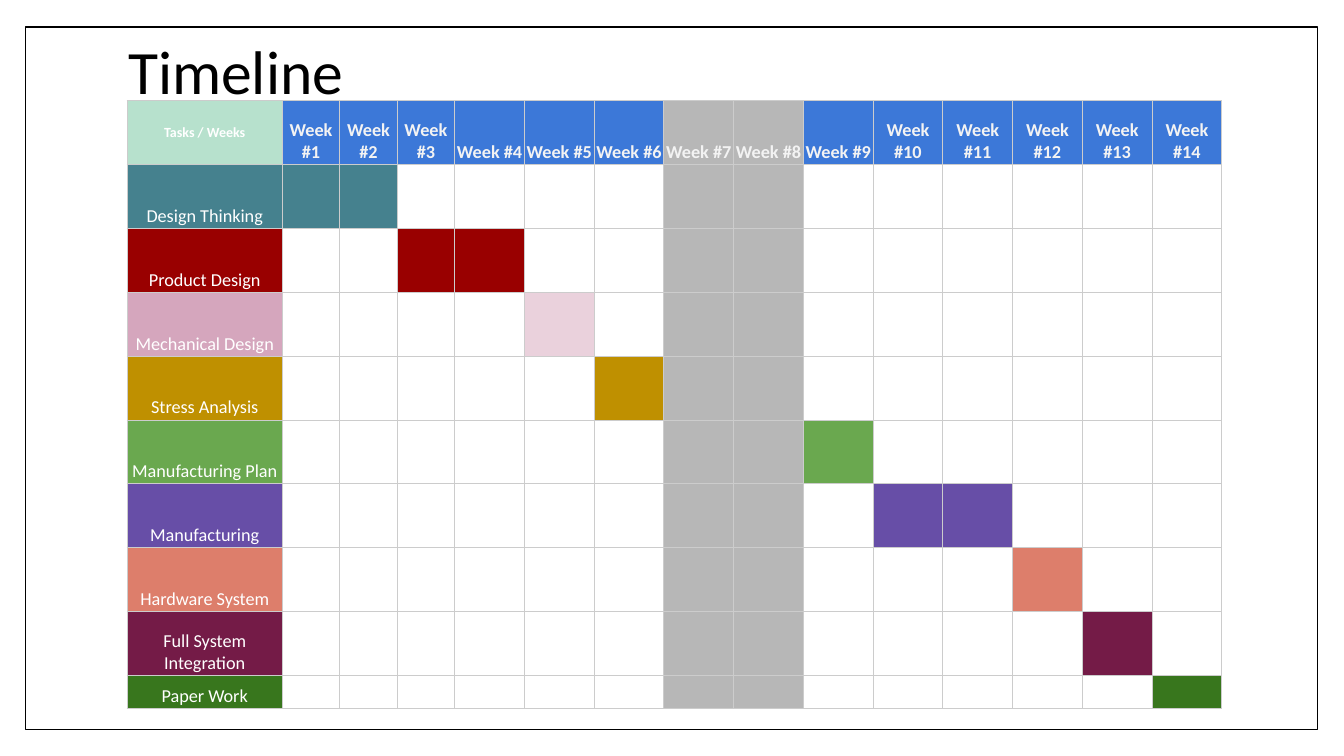
from lxml.etree import SubElement
from pptx import Presentation
from pptx.dml.color import RGBColor
from pptx.enum.shapes import MSO_SHAPE
from pptx.enum.text import MSO_ANCHOR, PP_ALIGN
from pptx.oxml.ns import qn
from pptx.util import Inches, Pt

WHITE, BLACK, BLUE, GREY = "FFFFFF", "000000", "3C78D8", "B7B7B7"
MINT, PALE, BORDER = "B7E1CD", "F3F3F3", "CCCCCC"
WEEK_COUNT = 14
BREAK_WEEKS = (7, 8)
NARROW_WEEKS = 3
# Task, label colour, bar colour, active weeks
TASKS = [
    ("Design Thinking", "45818E", "45818E", (1, 2)),
    ("Product Design", "990000", "990000", (3, 4)),
    ("Mechanical Design", "D5A6BD", "EAD1DC", (5,)),
    ("Stress Analysis", "BF9000", "BF9000", (6,)),
    ("Manufacturing Plan", "6AA84F", "6AA84F", (9,)),
    ("Manufacturing", "674EA7", "674EA7", (10, 11)),
    ("Hardware System", "DD7E6B", "DD7E6B", (12,)),
    ("Full System Integration", "741B47", "741B47", (13,)),
    ("Paper Work", "38761D", "38761D", (14,)),
]


def color(value):
    return RGBColor.from_string(value)


def set_font(paragraph, size, font_color, bold=False):
    font = paragraph.font
    font.name, font.size, font.bold = "Calibri", Pt(size), bold
    font.color.rgb = color(font_color)


def add_frame(slide, left, top, width, height):
    """Draw the page border behind everything else."""
    frame = slide.shapes.add_shape(
        MSO_SHAPE.RECTANGLE, Inches(left), Inches(top), Inches(width), Inches(height))
    frame.shadow.inherit = False
    frame.fill.solid()
    frame.fill.fore_color.rgb = color(WHITE)
    frame.line.color.rgb = color(BLACK)
    frame.line.width = Pt(1)
    slide.shapes.title.element.addprevious(frame.element)


def place_title(slide, text, left, top, width, height):
    title = slide.shapes.title
    title.left, title.top = Inches(left), Inches(top)
    title.width, title.height = Inches(width), Inches(height)
    title.text_frame.text = text
    title.text_frame.vertical_anchor = MSO_ANCHOR.MIDDLE
    paragraph = title.text_frame.paragraphs[0]
    paragraph.alignment = PP_ALIGN.LEFT
    paragraph.line_spacing = 0.9
    set_font(paragraph, 44, BLACK)


def add_borders(cell):
    properties = cell._tc.get_or_add_tcPr()
    for side in ("a:lnL", "a:lnR", "a:lnT", "a:lnB"):
        line = SubElement(properties, qn(side), w=str(Pt(0.6)))
        fill = SubElement(line, qn("a:solidFill"))
        SubElement(fill, qn("a:srgbClr"), val=BORDER)


def format_cell(cell, fill, text="", size=13, font_color=WHITE, bold=False,
                anchor=MSO_ANCHOR.BOTTOM):
    add_borders(cell)
    cell.fill.solid()
    cell.fill.fore_color.rgb = color(fill)
    cell.margin_left = cell.margin_right = Inches(0.02)
    cell.margin_top = cell.margin_bottom = Inches(0.01)
    cell.vertical_anchor = anchor
    cell.text = text
    paragraph = cell.text_frame.paragraphs[0]
    paragraph.alignment = PP_ALIGN.CENTER
    set_font(paragraph, size, font_color, bold)


def size_table(table, width, height):
    task_width, narrow_width, last_height = 1.54, 0.57, 0.33
    week_width = ((width - task_width - NARROW_WEEKS * narrow_width)
                  / (WEEK_COUNT - NARROW_WEEKS))
    for index, column in enumerate(table.columns):
        if index == 0:
            column.width = Inches(task_width)
        else:
            column.width = Inches(narrow_width if index <= NARROW_WEEKS else week_width)
    for row in table.rows:
        row.height = Inches((height - last_height) / len(TASKS))
    table.rows[len(TASKS)].height = Inches(last_height)


def add_timeline(slide, left, top, width, height):
    table = slide.shapes.add_table(
        len(TASKS) + 1, WEEK_COUNT + 1,
        Inches(left), Inches(top), Inches(width), Inches(height)).table
    table.first_row = table.horz_banding = False
    size_table(table, width, height)
    weeks = range(1, WEEK_COUNT + 1)

    format_cell(table.cell(0, 0), MINT, "Tasks / Weeks", size=10, bold=True,
                anchor=MSO_ANCHOR.MIDDLE)
    for week in weeks:
        format_cell(table.cell(0, week), GREY if week in BREAK_WEEKS else BLUE,
                    f"Week #{week}", font_color=PALE, bold=True)

    for row, (task, label_color, bar_color, active_weeks) in enumerate(TASKS, start=1):
        format_cell(table.cell(row, 0), label_color, task)
        for week in weeks:
            if week in active_weeks:
                fill = bar_color
            else:
                fill = GREY if week in BREAK_WEEKS else WHITE
            format_cell(table.cell(row, week), fill)


def main():
    presentation = Presentation()
    presentation.slide_width = Inches(13.33)
    presentation.slide_height = Inches(7.5)
    slide = presentation.slides.add_slide(presentation.slide_layouts[5])
    add_frame(slide, 0.25, 0.27, 12.82, 6.97)
    place_title(slide, "Timeline", 1.17, 0, 10.8, 1.48)
    add_timeline(slide, 1.26, 1, 10.86, 6.03)
    presentation.save("out.pptx")


if __name__ == "__main__":
    main()
